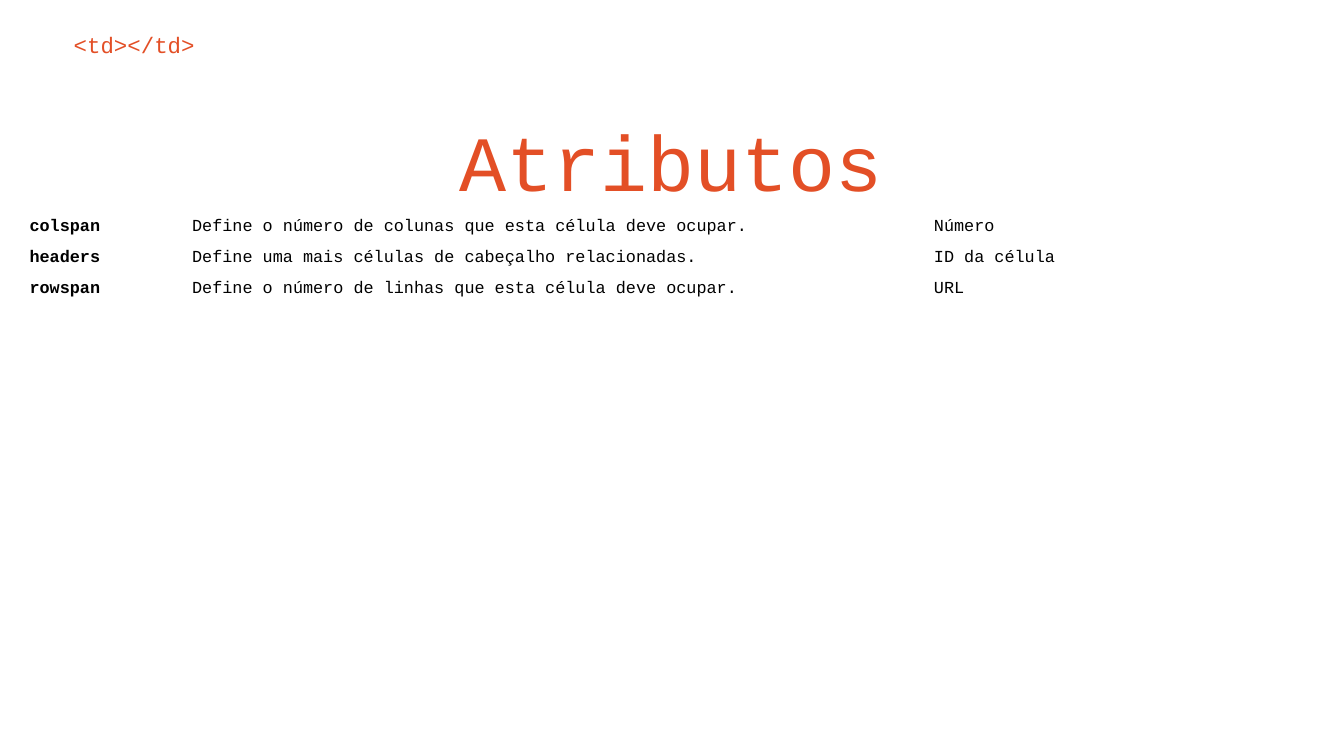
from dataclasses import dataclass

from pptx import Presentation
from pptx.dml.color import RGBColor
from pptx.enum.text import MSO_ANCHOR as Anchor, PP_ALIGN as Align
from pptx.oxml.ns import qn
from pptx.slide import Slide
from pptx.text.text import TextFrame
from pptx.util import Inches, Pt

ORANGE = RGBColor(0xE3, 0x4F, 0x26)
BLACK = RGBColor(0, 0, 0)
FONT = "Courier New"
COLUMN_WIDTHS = (1.21, 5.52, 2.79)
ROW_HEIGHT = 0.2
HEADING_MARGIN = 0.1
CELL_MARGIN = 0.04
PLAIN_TABLE_STYLE = "{2D5ABB26-0587-4C30-8999-92F81FD0307C}"


@dataclass(frozen=True)
class Heading:
    text: str
    left: float
    top: float
    width: float
    height: float
    size: int
    align: Align


@dataclass(frozen=True)
class Attribute:
    name: str
    description: str
    value: str


HEADINGS = (
    Heading("<td></td>", 0.45, 0.13, 9.18, 0.42, 12, Align.LEFT),
    Heading("Atributos", 0.71, 0.74, 8.57, 0.86, 42, Align.CENTER),
)
ATTRIBUTES = (
    Attribute("colspan", "Define o número de colunas que esta célula deve ocupar.", "Número"),
    Attribute("headers", "Define uma mais células de cabeçalho relacionadas.", "ID da célula"),
    Attribute("rowspan", "Define o número de linhas que esta célula deve ocupar.", "URL"),
)


def write_text(frame: TextFrame, text: str, *, size: int, color: RGBColor,
               bold: bool = False, align: Align = Align.LEFT) -> None:
    frame.word_wrap = True
    paragraph = frame.paragraphs[0]
    paragraph.alignment = align
    run = paragraph.add_run()
    run.text = text
    run.font.name = FONT
    run.font.size = Pt(size)
    run.font.bold = bold
    run.font.color.rgb = color


def draw_heading(slide: Slide, heading: Heading) -> None:
    shape = slide.shapes.add_textbox(Inches(heading.left), Inches(heading.top),
                                     Inches(heading.width), Inches(heading.height))
    frame = shape.text_frame
    frame.vertical_anchor = Anchor.TOP
    frame.margin_left = frame.margin_right = Inches(HEADING_MARGIN)
    frame.margin_top = frame.margin_bottom = Inches(HEADING_MARGIN)
    write_text(frame, heading.text, size=heading.size, color=ORANGE, align=heading.align)


def draw_attributes(slide: Slide, attributes: tuple[Attribute, ...]) -> None:
    graphic_frame = slide.shapes.add_table(
        len(attributes), len(COLUMN_WIDTHS), Inches(0.18), Inches(1.58),
        Inches(sum(COLUMN_WIDTHS)), Inches(ROW_HEIGHT * len(attributes)))
    table = graphic_frame.table
    table.first_row = table.horz_banding = False
    for style in graphic_frame.element.iter(qn("a:tableStyleId")):
        style.text = PLAIN_TABLE_STYLE
    for column, width in zip(table.columns, COLUMN_WIDTHS):
        column.width = Inches(width)
    for row, attribute in zip(table.rows, attributes):
        row.height = Inches(ROW_HEIGHT)
        texts = (attribute.name, attribute.description, attribute.value)
        for index, (cell, text) in enumerate(zip(row.cells, texts)):
            cell.fill.background()
            cell.margin_left = cell.margin_right = Inches(CELL_MARGIN)
            cell.margin_top = cell.margin_bottom = Inches(CELL_MARGIN)
            write_text(cell.text_frame, text, size=9, color=BLACK, bold=index == 0)


def main() -> None:
    presentation = Presentation()
    presentation.slide_width = Inches(10)
    presentation.slide_height = Inches(10 * 9 / 16)
    slide = presentation.slides.add_slide(presentation.slide_layouts[6])
    for heading in HEADINGS:
        draw_heading(slide, heading)
    draw_attributes(slide, ATTRIBUTES)
    presentation.save("out.pptx")


if __name__ == "__main__":
    main()
